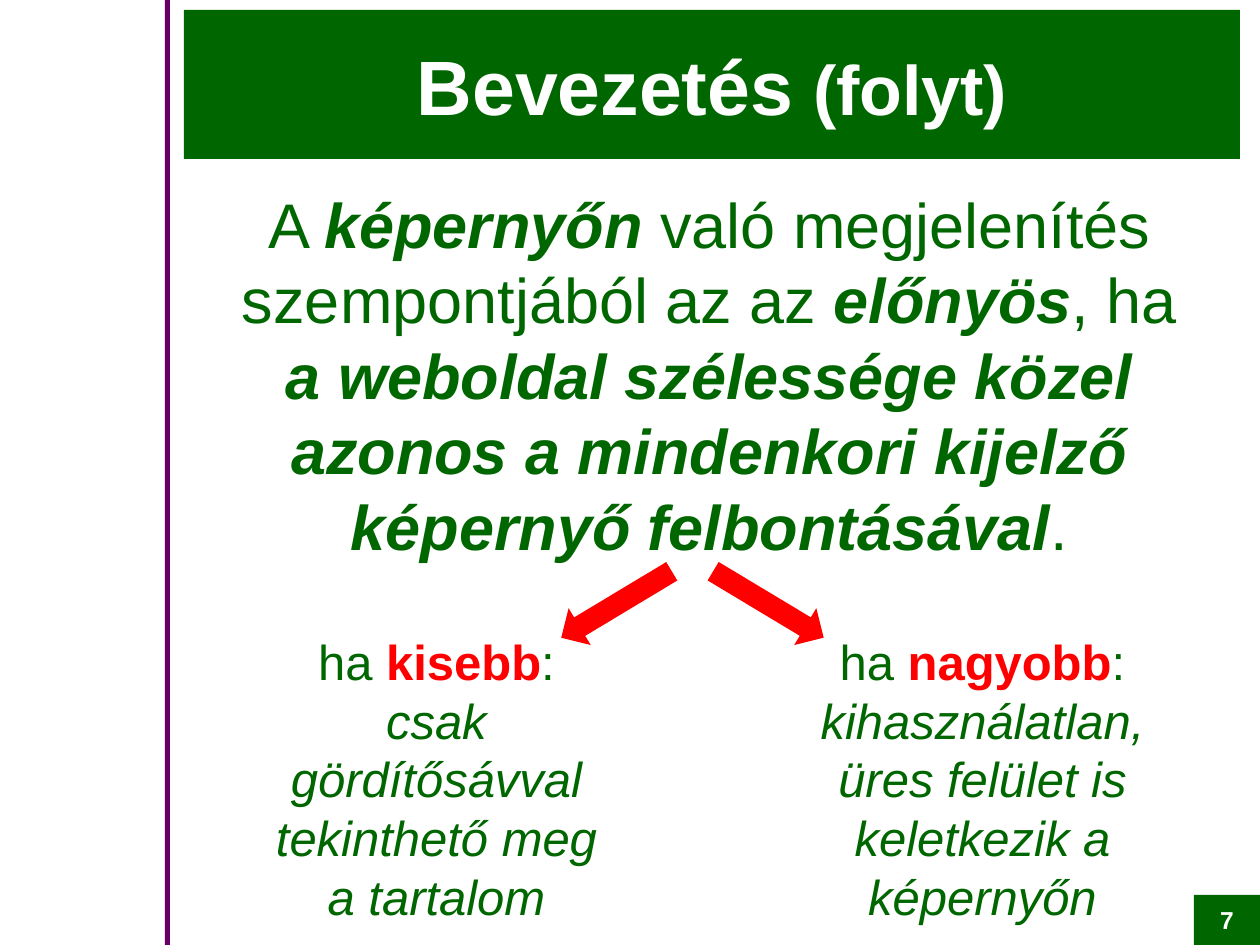
from dataclasses import dataclass

from pptx import Presentation
from pptx.dml.color import RGBColor
from pptx.enum.shapes import MSO_SHAPE
from pptx.enum.text import MSO_ANCHOR, PP_ALIGN
from pptx.util import Emu, Pt

RECT = MSO_SHAPE.RECTANGLE
ARROW = MSO_SHAPE.RIGHT_ARROW
CENTER = PP_ALIGN.CENTER
TOP = MSO_ANCHOR.TOP
MIDDLE = MSO_ANCHOR.MIDDLE

PX = 914400 // 126
SLIDE_W, SLIDE_H = 1260, 945


@dataclass(frozen=True)
class Theme:
    font: str = "Arial"
    green: str = "006600"
    purple: str = "660066"
    red: str = "FF0000"
    white: str = "FFFFFF"
    title: int = 44
    subtitle: int = 40
    body: int = 36
    column: int = 28
    number: int = 14


THEME = Theme()


def px(*values):
    return [Emu(v * PX) for v in values]


def add_block(s, kind, box, color, rotation=0):
    sp = s.shapes.add_shape(kind, *px(*box))
    sp.shadow.inherit = False
    sp.fill.solid()
    sp.fill.fore_color.rgb = RGBColor.from_string(color)
    sp.line.fill.background()
    sp.rotation = rotation
    return sp


def add_run(p, text, size, color, bold=False, italic=False):
    for i, line in enumerate(text.split("\n")):
        if i:
            p.add_line_break()
        if line:
            r = p.add_run()
            r.text = line
            r.font.name = THEME.font
            r.font.size = Pt(size)
            r.font.bold = bold
            r.font.italic = italic
            r.font.color.rgb = RGBColor.from_string(color)


def write(sp, runs, size, color, anchor=TOP, before=0):
    tf = sp.text_frame
    tf.word_wrap = True
    tf.vertical_anchor = anchor
    p = tf.paragraphs[0]
    p.alignment = CENTER
    p.line_spacing = 1.0
    p.space_before = Pt(before)
    for text, style in runs:
        add_run(p, text, **{"size": size, "color": color, **style})


def add_text(s, box, runs, size, before):
    sp = s.shapes.add_textbox(*px(*box))
    write(sp, runs, size, THEME.green, before=before)


def add_label(s, box, runs, size):
    sp = add_block(s, RECT, box, THEME.green)
    write(sp, runs, size, THEME.white, anchor=MIDDLE)


def add_case(s, left, keyword, outcome):
    runs = [
        ("ha ", {}),
        (keyword, {"color": THEME.red, "bold": True}),
        (":\n", {}),
        (outcome, {"italic": True}),
    ]
    add_text(s, (left, 625, 407, 319), runs, THEME.column, before=3)


def main():
    prs = Presentation()
    prs.slide_width, prs.slide_height = px(SLIDE_W, SLIDE_H)
    s = prs.slides.add_slide(prs.slide_layouts[6])

    add_block(s, RECT, (165, 0, 5, SLIDE_H), THEME.purple)

    title = [
        ("Bevezetés", {"bold": True}),
        (" (folyt)", {"bold": True, "size": THEME.subtitle}),
    ]
    add_label(s, (184, 10, 1056, 149), title, THEME.title)

    strong = {"bold": True, "italic": True}
    body = [
        ("A ", {}),
        ("képernyőn", strong),
        (" való megjelenítés szempontjából az az ", {}),
        ("előnyös", strong),
        (", ha\n", {}),
        ("a weboldal szélessége közel azonos a mindenkori kijelző "
         "képernyő felbontásával", strong),
        (".", {}),
    ]
    add_text(s, (184, 179, 1051, 407), body, THEME.body, before=1)

    add_label(s, (1194, 895, 66, 50), [("7", {"bold": True})], THEME.number)

    add_case(s, 233, "kisebb",
             "csak\ngördítősávval tekinthető meg\na tartalom")
    add_case(s, 779, "nagyobb",
             "kihasználatlan,\nüres felület is keletkezik a képernyőn")

    for left, rotation in ((552, 149), (704, 31)):
        add_block(s, ARROW, (left, 583, 129, 43), THEME.red, rotation)

    prs.save("out.pptx")


if __name__ == "__main__":
    main()
